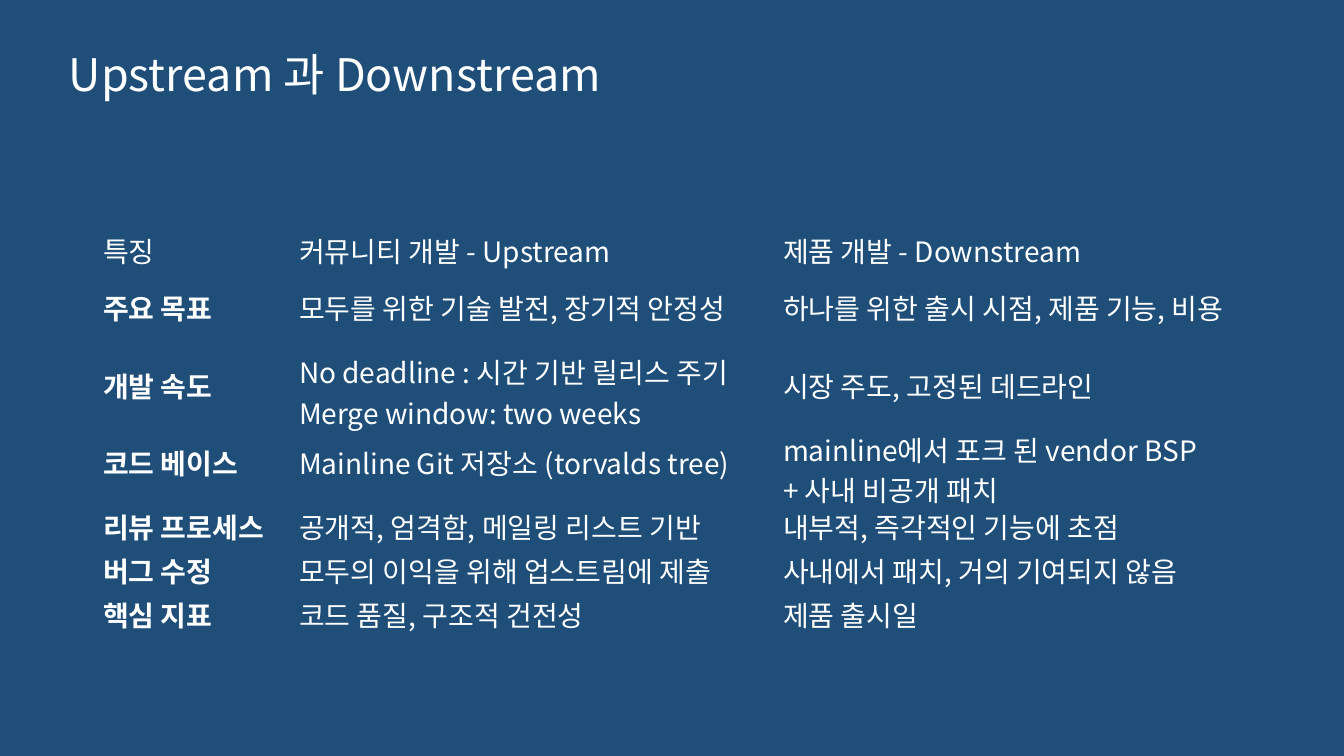
from pptx import Presentation
from pptx.dml.color import RGBColor
from pptx.enum import text
from pptx.oxml import ns
from pptx import util as u

TITLE = "Upstream 과 Downstream"
ROWS = [
    ("특징", "커뮤니티 개발 - Upstream", "제품 개발 - Downstream"),
    ("주요 목표", "모두를 위한 기술 발전, 장기적 안정성",
     "하나를 위한 출시 시점, 제품 기능, 비용"),
    ("개발 속도", "No deadline : 시간 기반 릴리스 주기\nMerge window: two weeks",
     "시장 주도, 고정된 데드라인"),
    ("코드 베이스", "Mainline Git 저장소 (torvalds tree)",
     "mainline에서 포크 된 vendor BSP\n+ 사내 비공개 패치"),
    ("리뷰 프로세스", "공개적, 엄격함, 메일링 리스트 기반", "내부적, 즉각적인 기능에 초점"),
    ("버그 수정", "모두의 이익을 위해 업스트림에 제출", "사내에서 패치, 거의 기여되지 않음"),
    ("핵심 지표", "코드 품질, 구조적 건전성", "제품 출시일"),
]
COLUMN_WIDTHS = (196, 484, 480)
ROW_HEIGHTS = (44, 77, 77, 77, 44, 44, 44)

FONT = "Noto Sans CJK KR"
NAVY = RGBColor(0x1F, 0x4E, 0x79)
WHITE = RGBColor(0xFF, 0xFF, 0xFF)
SLIDE_WIDTH, SLIDE_HEIGHT = 1344, 756
SCALE = 12192000 / SLIDE_WIDTH


def px(length):
    return u.Emu(round(length * SCALE))


def write(frame, words, size, bold=False):
    """Put white text in a frame, with one font for Latin and Korean."""
    para = frame.paragraphs[0]
    para.text = words
    for span in para.runs:
        span.font.name = FONT
        span.font.size = u.Pt(size)
        span.font.bold = bold
        span.font.color.rgb = WHITE
        latin = span.font._element.find(ns.qn("a:latin"))
        korean = latin.makeelement(ns.qn("a:ea"), {"typeface": FONT})
        latin.addnext(korean)


def add_title(page):
    box = page.shapes.add_textbox(px(59), px(42), px(739), px(64))
    box.text_frame.word_wrap = True
    box.text_frame.auto_size = text.MSO_AUTO_SIZE.SHAPE_TO_FIT_TEXT
    write(box.text_frame, TITLE, 32)


def add_comparison(page):
    table = page.shapes.add_table(
        len(ROWS), len(COLUMN_WIDTHS), px(93), px(225),
        px(sum(COLUMN_WIDTHS)), px(sum(ROW_HEIGHTS))).table
    table.first_row = table.horz_banding = False
    style = table._tbl.tblPr.find(ns.qn("a:tableStyleId"))
    style.text = "{2D5ABB26-0587-4C30-8999-92F81FD0307C}"  # no style, no grid
    for column, width in zip(table.columns, COLUMN_WIDTHS):
        column.width = px(width)
    for row, height, words in zip(table.rows, ROW_HEIGHTS, ROWS):
        row.height = px(height)
        for index, cell in enumerate(row.cells):
            cell.fill.background()
            cell.vertical_anchor = text.MSO_ANCHOR.MIDDLE
            is_label = index == 0 and words is not ROWS[0]
            write(cell.text_frame, words[index], 20, is_label)


def main():
    deck = Presentation()
    deck.slide_width, deck.slide_height = px(SLIDE_WIDTH), px(SLIDE_HEIGHT)
    page = deck.slides.add_slide(deck.slide_layouts[6])
    page.background.fill.solid()
    page.background.fill.fore_color.rgb = NAVY
    add_title(page)
    add_comparison(page)
    deck.save("out.pptx")


if __name__ == "__main__":
    main()
